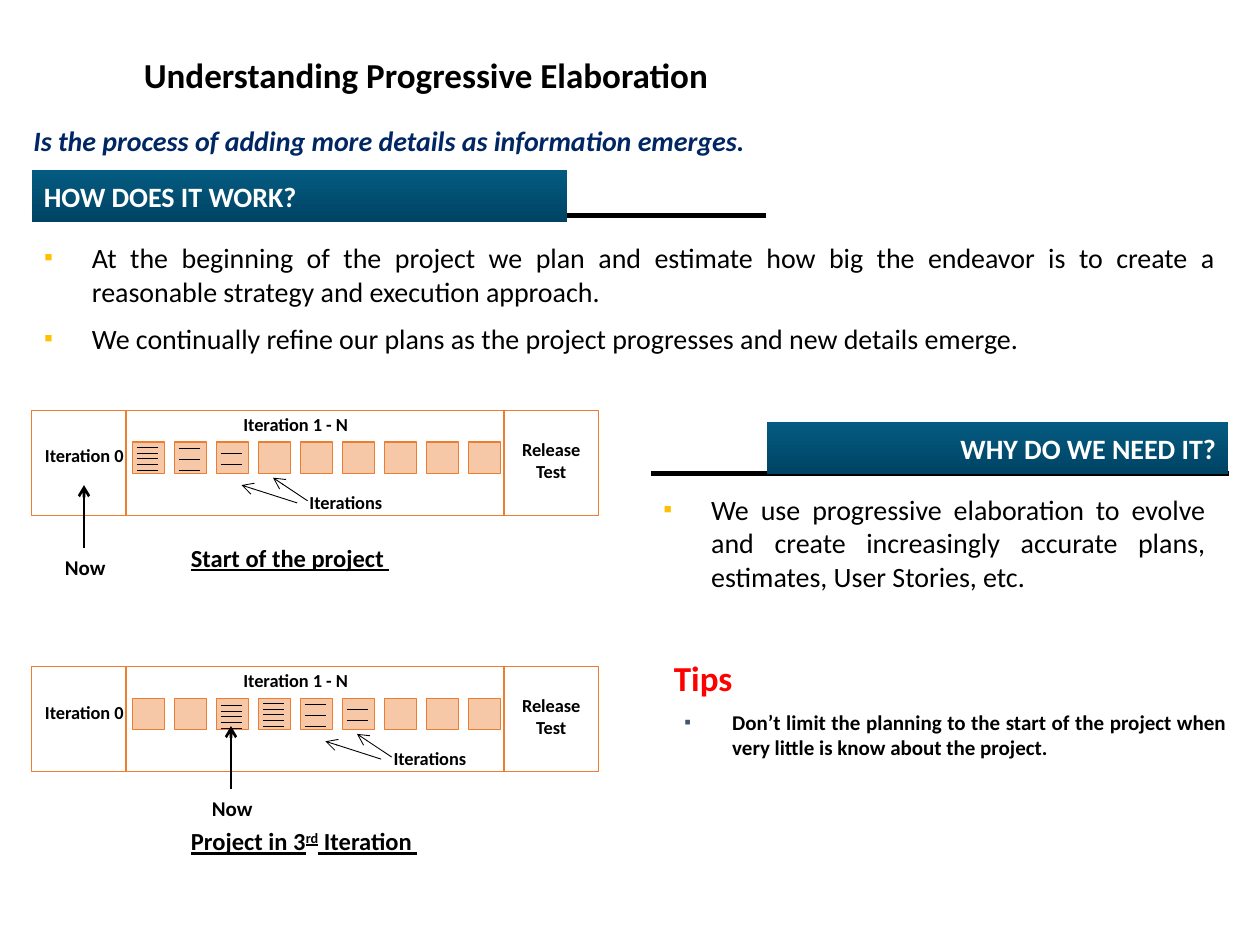
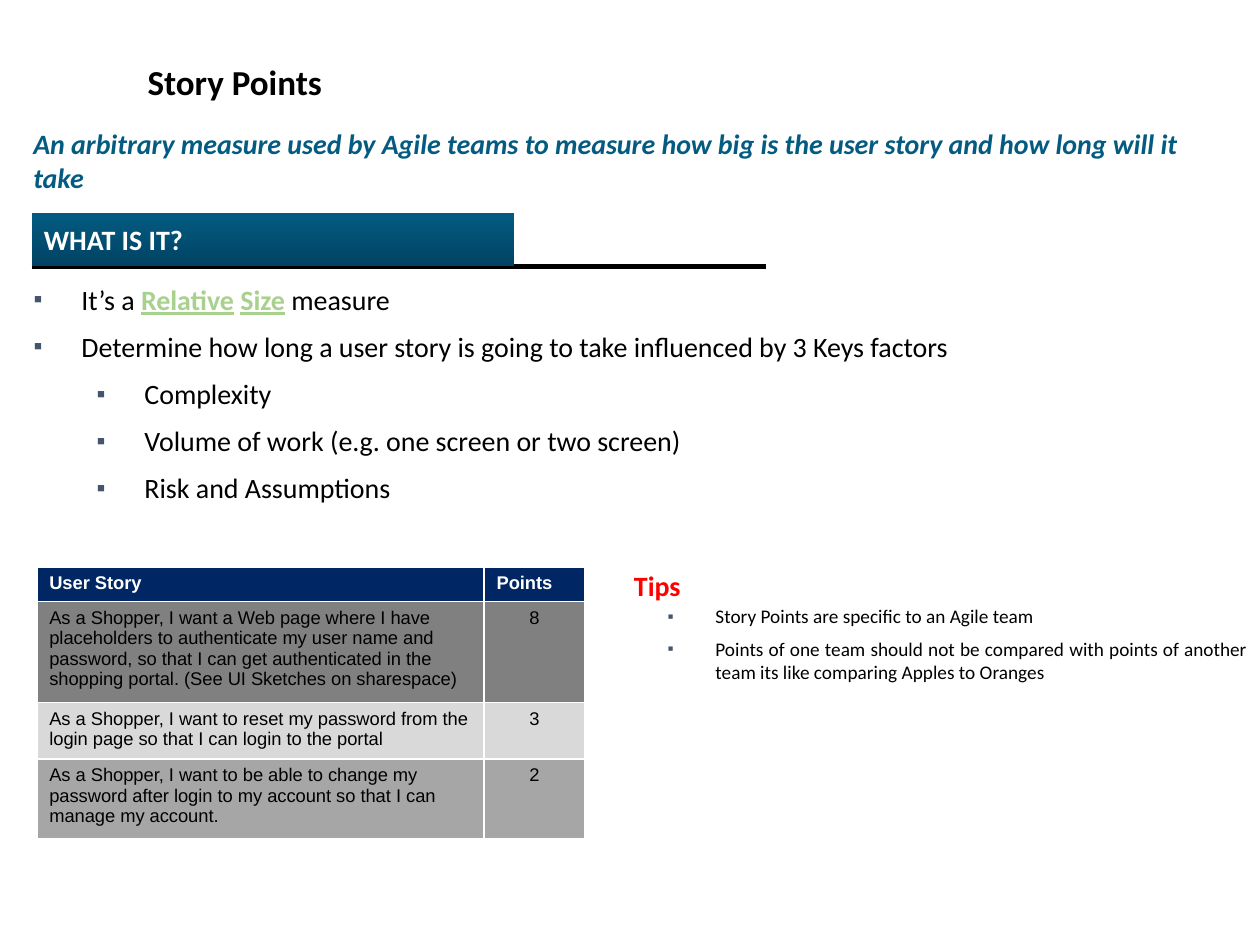
from lxml import etree
from pptx import Presentation
from pptx.dml.color import RGBColor as Rgb
from pptx.enum.shapes import MSO_CONNECTOR as Link, MSO_SHAPE as Shape
from pptx.enum.text import MSO_ANCHOR as Anchor, MSO_AUTO_SIZE as Auto, PP_ALIGN as Align
from pptx.oxml.ns import qn
from pptx.util import Inches, Pt

HUES = {
    "black": "000000", "white": "FFFFFF", "red": "FF0000", "navy": "002663",
    "teal": "045B81", "deep": "004364", "gold": "FFC000", "slate": "44546A",
    "green": "A9D18E", "orange": "ED7D31", "peach": "F4B183",
    "dark": "808080", "light": "D9D9D9", "mid": "A6A6A6",
}
FONT = "Calibri"
UNITS = 12
CELLS = 9
INDENT = 0.38
STORIES = [
    ("User Story", "Points", "navy", 3.3),
    ("As a Shopper, I want a Web page where I have placeholders to authenticate my user name "
     "and password, so that I can get authenticated in the shopping portal. "
     "(See UI Sketches on sharespace)", "8", "dark", 9.5),
    ("As a Shopper, I want to reset my password from the login page so that I can login "
     "to the portal", "3", "light", 5.4),
    ("As a Shopper, I want to be able to change my password after login to my account "
     "so that I can manage my account.", "2", "mid", 7.6),
]


def grid(*cells):
    """Turn grid units, twelve to the inch, into lengths."""
    return [Inches(cell / UNITS) for cell in cells]


def hue(name):
    """Look up a colour by name."""
    return Rgb.from_string(HUES[name])


def style(runs, size, color="black", bold=False, italic=False, under=False, name=FONT):
    """Format a series of runs alike."""
    for run in runs:
        font = run.font
        font.name, font.size = name, Pt(size)
        font.bold, font.italic, font.underline = bold, italic, under
        font.color.rgb = hue(color)


def place(shape, box):
    """Move a placeholder to a box on the grid."""
    shape.left, shape.top, shape.width, shape.height = grid(*box)


def label(slide, box, text, size, align=Align.LEFT, **look):
    """Add a wrapped text box with one paragraph."""
    frame = slide.shapes.add_textbox(*grid(*box)).text_frame
    frame.word_wrap = True
    para = frame.paragraphs[0]
    para.text, para.alignment = text, align
    style(para.runs, size, **look)
    return para


def head(slide, box, text):
    """Fill the title placeholder."""
    title = slide.shapes.title
    place(title, box)
    frame = title.text_frame
    frame.text, frame.auto_size, frame.vertical_anchor = text, Auto.NONE, Anchor.TOP
    frame.paragraphs[0].alignment = Align.LEFT
    style(frame.paragraphs[0].runs, 20, bold=True)


def bullet(para, color, level):
    """Give a paragraph a hanging square bullet."""
    props = para._p.get_or_add_pPr()
    props.set("marL", str(Inches(INDENT + level / 2)))
    props.set("indent", str(-Inches(INDENT)))
    tint = etree.SubElement(props, qn("a:buClr"))
    etree.SubElement(tint, qn("a:srgbClr"), val=HUES[color])
    etree.SubElement(props, qn("a:buSzPct"), val="90000")
    etree.SubElement(props, qn("a:buFont"), typeface="Arial")
    etree.SubElement(props, qn("a:buChar"), char="▪")


def fill_list(frame, items, size, mark="slate", bold=False):
    """Write (level, text) items as a justified bullet list."""
    frame.word_wrap, frame.auto_size = True, Auto.NONE
    for spot, (level, text) in enumerate(items):
        para = frame.add_paragraph() if spot else frame.paragraphs[0]
        para.text, para.level, para.alignment = text, level, Align.JUSTIFY
        para.space_before = Pt(round(size * 0.48, 1) if spot else 0)
        bullet(para, mark, level)
        style(para.runs, size, bold=bold)


def body(slide, box, items, mark="slate"):
    """Fill the body placeholder with a bullet list."""
    holder = slide.placeholders[1]
    place(holder, box)
    fill_list(holder.text_frame, items, 16, mark)
    return holder.text_frame


def points(slide, box, items, size, **look):
    """Add a bullet list in a text box."""
    frame = slide.shapes.add_textbox(*grid(*box)).text_frame
    fill_list(frame, items, size, **look)


def line(slide, start, end, width, arrow=False):
    """Draw a black line, with an arrowhead at its end if asked."""
    link = slide.shapes.add_connector(Link.STRAIGHT, *grid(*start, *end))
    link.line.color.rgb, link.line.width = hue("black"), Pt(width)
    etree.SubElement(link._element.spPr, qn("a:effectLst"))
    if arrow:
        etree.SubElement(link.line._get_or_add_ln(), qn("a:tailEnd"), type="arrow")


def block(slide, box, color):
    """Draw a translucent box with an orange edge."""
    shape = slide.shapes.add_shape(Shape.RECTANGLE, *grid(*box))
    shape.shadow.inherit = False
    shape.fill.solid()
    shape.fill.fore_color.rgb = hue(color)
    tint = shape._element.spPr.find(f"{qn('a:solidFill')}/{qn('a:srgbClr')}")
    etree.SubElement(tint, qn("a:alpha"), val="70000")
    shape.line.color.rgb, shape.line.width = hue("orange"), Pt(0.75)


def band(slide, box, text, rule, align=Align.LEFT):
    """Draw a section band over its rule (left, right, height)."""
    left, right, top = rule
    line(slide, (left, top), (right, top), 3)
    shape = slide.shapes.add_shape(Shape.RECTANGLE, *grid(*box))
    shape.shadow.inherit = False
    shape.line.fill.background()
    shape.fill.gradient()
    shape.fill.gradient_angle = 270
    for stop, color in zip(shape.fill.gradient_stops, ("teal", "deep")):
        stop.color.rgb = hue(color)
    frame = shape.text_frame
    frame.text, frame.vertical_anchor, frame.word_wrap = text, Anchor.MIDDLE, False
    frame.paragraphs[0].alignment = align
    style(frame.paragraphs[0].runs, 16, "white", bold=True)


def marks(slide, left, top, count):
    """Draw the detail lines within one cell."""
    gap = 0.54 if count == 5 else 1.05
    for row in range(count):
        high = top + row * gap
        line(slide, (left, high), (left + 2, high), 0.5)


def plan(slide, top, details, now, shift):
    """Draw a project plan with details (cell, count, offset) and a now arrow."""
    left = 3
    for start, width in ((0, 9), (9, 36), (45, 9)):
        block(slide, (left + start, top, width, 10), "white")
    for cell in range(CELLS):
        block(slide, (left + 9.65 + 4 * cell, top + 3, 3, 3), "peach")
    for cell, count, drop in details:
        marks(slide, left + 10.05 + 4 * cell, top + 3 + drop, count)
    for across, down, width, high, text, align in (
        (0.1, 2.65, 10.8, 3.4, "Iteration 0", Align.LEFT),
        (19, -0.36, 13.7, 3.4, "Iteration 1 - N", Align.LEFT),
        (44.5, 2, 10, 5.4, "Release Test", Align.CENTER),
        (25.3 + shift, 7.08, 10.3, 3.4, "Iterations", Align.LEFT),
    ):
        label(slide, (left + across, top + down, width, high), text, 10.5, align, bold=True)
    for start, end in (((25.3, 8.8), (20, 7.1)), ((26.3, 8.6), (23, 6.4))):
        tail, tip = ((left + shift + x, top + y) for x, y in (start, end))
        line(slide, tail, tip, 0.5, arrow=True)
    across, down = left + now[0], top + now[1]
    line(slide, (across, down), (across, down - 6), 1.5, arrow=True)
    label(slide, (across - 3, down, 6.8, 3.6), "Now", 12, bold=True)


def chart_out(slide):
    """Add the two project plans and their captions."""
    plan(slide, 39.1, [(0, 5, 0.5), (1, 3, 0.6), (2, 2, 1.1)], (5, 13.1), 0)
    plan(slide, 63.5, [(2, 5, 0.7), (3, 5, 0.5), (4, 3, 0.6), (5, 2, 1.1)], (19, 11.65), 8)
    look = {"bold": True, "under": True}
    label(slide, (17, 51.1, 24, 4), "Start of the project ", 14, **look)
    para = label(slide, (17, 78.1, 27, 4), "Project in 3", 14, **look)
    for text in ("rd", " Iteration "):
        para.add_run().text = text
    style(para.runs, 14, **look)
    para.runs[1]._r.get_or_add_rPr().set("baseline", "30000")


def stories(slide):
    """Add the table of user stories and points."""
    box = grid(3.5, 54, 52.2, sum(row[3] for row in STORIES))
    table = slide.shapes.add_table(len(STORIES), 2, *box).table
    table.horz_banding = False
    for col, width in zip(table.columns, grid(42.6, 9.6)):
        col.width = width
    for row, (story, score, color, high) in enumerate(STORIES):
        table.rows[row].height = grid(high)[0]
        for col, text in enumerate((story, score)):
            cell = table.cell(row, col)
            cell.fill.solid()
            cell.fill.fore_color.rgb = hue(color)
            para = cell.text_frame.paragraphs[0]
            para.text = text
            para.alignment = Align.CENTER if row and col else Align.LEFT
            style(para.runs, 10.5, "black" if row else "white", bold=not row, name="Arial")


def detail(slide):
    """Build the progressive elaboration slide."""
    head(slide, (12.5, 4.5, 104, 5.3), "Understanding Progressive Elaboration")
    label(slide, (2, 11.15, 115, 4.4),
          "Is the process of adding more details as information emerges.",
          16, color="navy", bold=True, italic=True)
    band(slide, (3, 16.2, 51, 5), "HOW DOES IT WORK?", (3, 73, 20.5))
    body(slide, (3, 22.3, 114, 12.5), [
        (0, "At the beginning of the project we plan and estimate how big the endeavor is "
            "to create a reasonable strategy and execution approach."),
        (0, "We continually refine our plans as the project progresses and new details emerge."),
    ], "gold")
    band(slide, (73, 40.2, 44, 5), "WHY DO WE NEED IT?", (62, 117, 45.1), Align.RIGHT)
    points(slide, (62, 46.3, 54, 11), [
        (0, "We use progressive elaboration to evolve and create increasingly accurate plans, "
            "estimates, User Stories, etc."),
    ], 16, mark="gold")
    label(slide, (63, 61.9, 48, 5.3), "Tips", 20, color="red", bold=True)
    points(slide, (64, 67, 54, 6), [
        (0, "Don’t limit the planning to the start of the project when very little is know "
            "about the project."),
    ], 12, bold=True)
    chart_out(slide)


def sizing(slide):
    """Build the story points slide."""
    head(slide, (12.85, 5.2, 89, 4.8), "Story Points")
    label(slide, (2, 11.5, 115, 7.7),
          "An arbitrary measure used by Agile teams to measure how big is the user story "
          "and how long will it take", 16, color="teal", bold=True, italic=True)
    band(slide, (3, 20.3, 46, 5), "WHAT IS IT?", (3, 73, 25.4))
    frame = body(slide, (2, 26.3, 114, 23.9), [
        (0, "It’s a "),
        (0, "Determine how long a user story is going to take influenced by 3 Keys factors"),
        (1, "Complexity"),
        (1, "Volume of work (e.g. one screen or two screen)"),
        (1, "Risk and Assumptions"),
    ])
    para = frame.paragraphs[0]
    for text in ("Relative", " ", "Size", " measure"):
        para.add_run().text = text
    style(para.runs, 16)
    style(para.runs[1:4:2], 16, "green", bold=True, under=True)
    stories(slide)
    label(slide, (59.2, 53.6, 48, 4.4), "Tips", 16, color="red", bold=True)
    points(slide, (62.4, 57, 57.6, 9), [
        (0, "Story Points are specific to an Agile team"),
        (0, "Points of one team should not be compared with points of another team "
            "its like comparing Apples to Oranges"),
    ], 11)


def main():
    """Build both slides and save them."""
    deck = Presentation()
    deck.slide_width, deck.slide_height = Inches(10), Inches(7.5)
    for build in (detail, sizing):
        build(deck.slides.add_slide(deck.slide_layouts[1]))
    deck.save("out.pptx")


if __name__ == "__main__":
    main()
